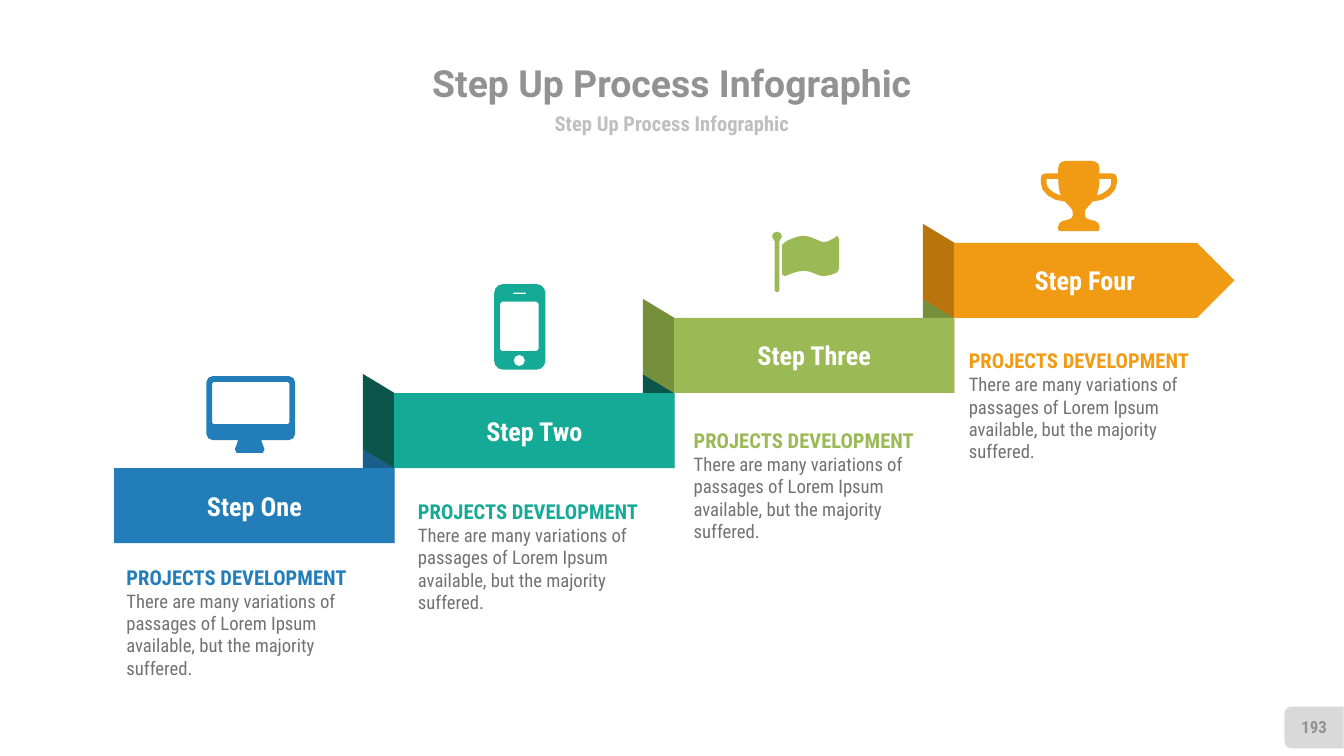
from math import dist

from pptx import Presentation
from pptx.dml.color import RGBColor
from pptx.enum.shapes import MSO_SHAPE
from pptx.enum.text import MSO_ANCHOR, PP_ALIGN
from pptx.util import Cm, Pt

BLUE, DARK_BLUE = RGBColor(0x23, 0x7D, 0xB9), RGBColor(0x1A, 0x5E, 0x8B)
TEAL, DARK_TEAL = RGBColor(0x15, 0xAA, 0x96), RGBColor(0x0B, 0x55, 0x4B)
GREEN, DARK_GREEN = RGBColor(0x9B, 0xB9, 0x55), RGBColor(0x76, 0x8F, 0x3B)
ORANGE, DARK_ORANGE = RGBColor(0xF1, 0x9B, 0x14), RGBColor(0xB9, 0x75, 0x0B)
WHITE = RGBColor(0xFF, 0xFF, 0xFF)
TITLE_GREY = RGBColor(0x92, 0x92, 0x92)
SUBTITLE_GREY = RGBColor(0xBF, 0xBF, 0xBF)
BODY_GREY = RGBColor(0x72, 0x72, 0x72)
TAB_GREY = RGBColor(0xD9, 0xD9, 0xD9)

CONDENSED = "Roboto Condensed"
TITLE = "Step Up Process Infographic"
HEADING = "PROJECTS DEVELOPMENT"
BODY = "There are many variations of passages of Lorem Ipsum available, but the majority suffered."

# Staircase geometry in cm
FIRST_LEFT, FIRST_TOP = 2.16, 8.85
STEP_RUN, STEP_RISE = 5.29, 1.42
STEP_WIDTH, STEP_HEIGHT = 5.3, 1.42
FOLD_WIDTH, FOLD_HEIGHT = 0.59, 1.78

# Name, colour, fold colour, left and top of the description
STEPS = [
    ("Step One", BLUE, DARK_BLUE, 2.14, 10.55),
    ("Step Two", TEAL, DARK_TEAL, 7.65, 9.31),
    ("Step Three", GREEN, DARK_GREEN, 12.86, 7.97),
    ("Step Four", ORANGE, DARK_ORANGE, 18.06, 6.46),
]


def write(para, text, size=11, color=WHITE, font=CONDENSED, bold=True, align=PP_ALIGN.LEFT):
    para.alignment = align
    span = para.add_run()
    span.text = text
    span.font.name, span.font.size, span.font.bold = font, Pt(size), bold
    span.font.color.rgb = color


def paint(shape, color):
    shape.shadow.inherit = False
    shape.fill.solid()
    shape.fill.fore_color.rgb = color
    shape.line.fill.background()


def add_block(page, kind, left, top, width, height, color, rotation=0):
    block = page.shapes.add_shape(kind, Cm(left), Cm(top), Cm(width), Cm(height))
    block.rotation = rotation
    paint(block, color)
    return block


def add_label(page, left, top, width, height, text, inset=True, **style):
    box = page.shapes.add_textbox(Cm(left), Cm(top), Cm(width), Cm(height))
    frame = box.text_frame
    frame.word_wrap = inset
    frame.vertical_anchor = MSO_ANCHOR.MIDDLE
    if not inset:
        frame.margin_left = frame.margin_right = frame.margin_top = frame.margin_bottom = 0
    write(frame.paragraphs[0], text, align=PP_ALIGN.CENTER, **style)


def add_description(page, left, top, color):
    box = page.shapes.add_textbox(Cm(left), Cm(top), Cm(5.26), Cm(3))
    frame = box.text_frame
    frame.word_wrap = True
    write(frame.paragraphs[0], HEADING, color=color)
    write(frame.add_paragraph(), BODY, size=10, color=BODY_GREY, bold=False)


def add_fold(page, right, bottom, color):
    # A quarter turn stands the parallelogram on its short side
    center_x, center_y = right - FOLD_WIDTH / 2, bottom - FOLD_HEIGHT / 2
    add_block(page, MSO_SHAPE.FLOWCHART_DATA, center_x - FOLD_HEIGHT / 2,
              center_y - FOLD_WIDTH / 2, FOLD_HEIGHT, FOLD_WIDTH, color, rotation=90)


def add_step(page, index, name, color, fold_color):
    left = FIRST_LEFT + index * STEP_RUN
    top = FIRST_TOP - index * STEP_RISE
    bottom = top + STEP_HEIGHT
    last = index == len(STEPS) - 1
    if index > 0:
        add_fold(page, left, bottom, fold_color)
    if not last:
        add_fold(page, left + STEP_RUN, bottom, fold_color)
    kind = MSO_SHAPE.PENTAGON if last else MSO_SHAPE.RECTANGLE
    step = add_block(page, kind, left, top, STEP_WIDTH, STEP_HEIGHT, color)
    step.text_frame.vertical_anchor = MSO_ANCHOR.MIDDLE
    write(step.text_frame.paragraphs[0], name, size=14, align=PP_ALIGN.CENTER)


def outline(start, *segments):
    """Flatten segments: (x, y) is a line, (x1, y1, x2, y2, x, y) a cubic curve."""
    points = [start]
    for segment in segments:
        if len(segment) == 2:
            points.append(segment)
            continue
        (x0, y0), (x1, y1, x2, y2, x3, y3) = points[-1], segment
        # Longer curves get more points
        count = max(1, min(4, round(dist((x0, y0), (x3, y3)) / 0.08)))
        for t in (i / count for i in range(1, count + 1)):
            a, b, c, d = (1 - t) ** 3, 3 * t * (1 - t) ** 2, 3 * t * t * (1 - t), t ** 3
            points.append((a * x0 + b * x1 + c * x2 + d * x3,
                           a * y0 + b * y1 + c * y2 + d * y3))
    return points


def rounded(left, top, right, bottom, radius):
    k = radius * 0.45
    return outline(
        (left + radius, top), (right - radius, top),
        (right - k, top, right, top + k, right, top + radius), (right, bottom - radius),
        (right, bottom - k, right - k, bottom, right - radius, bottom), (left + radius, bottom),
        (left + k, bottom, left, bottom - k, left, bottom - radius), (left, top + radius),
        (left, top + k, left + k, top, left + radius, top))


def mirror(points):
    return [(-x, y) for x, y in reversed(points)]


def add_icon(page, left, top, color, contours):
    placed = [[(Cm(left + x), Cm(top + y)) for x, y in contour] for contour in contours]
    builder = page.shapes.build_freeform(*placed[0][0])
    for number, contour in enumerate(placed):
        if number:
            builder.move_to(*contour[0])
        builder.add_line_segments(contour[1:], close=True)
    paint(builder.convert_to_shape(), color)


def add_icons(page):
    # Monitor
    stand = outline((0.6, 1.21), (0.6, 1.29, 0.54, 1.33, 0.54, 1.38), (0.57, 1.45),
                    (1.07, 1.45), (1.1, 1.38), (1.1, 1.33, 1.04, 1.29, 1.04, 1.21))
    add_icon(page, 3.9, 7.11, BLUE, [
        rounded(0, 0, 1.68, 1.21, 0.12), rounded(0.11, 0.11, 1.57, 0.91, 0.03), stand])

    # Phone
    add_icon(page, 9.34, 5.37, TEAL, [
        rounded(0, 0, 0.97, 1.62, 0.17), rounded(0.11, 0.33, 0.84, 1.27, 0.04),
        rounded(0.36, 0.16, 0.6, 0.19, 0.01), rounded(0.37, 1.34, 0.58, 1.55, 0.1)])

    # Flag
    pole = outline((0.14, 0.18), (0.14, 1.11), (0.11, 1.14), (0.08, 1.14), (0.05, 1.11),
                   (0.05, 0.18), (0.02, 0.15, 0, 0.13, 0, 0.09),
                   (0, 0.04, 0.05, 0, 0.09, 0), (0.15, 0, 0.19, 0.04, 0.19, 0.09),
                   (0.19, 0.13, 0.17, 0.16, 0.14, 0.18))
    cloth = outline((1.27, 0.7), (1.27, 0.74, 1.27, 0.75, 1.23, 0.77),
                    (1.15, 0.81, 1.06, 0.84, 0.97, 0.84), (0.85, 0.84, 0.76, 0.74, 0.61, 0.74),
                    (0.5, 0.74, 0.38, 0.78, 0.25, 0.84), (0.22, 0.84, 0.19, 0.84, 0.19, 0.81),
                    (0.19, 0.25), (0.27, 0.18), (0.38, 0.13, 0.48, 0.08, 0.59, 0.08),
                    (0.71, 0.08, 0.79, 0.13, 0.91, 0.18), (0.93, 0.19, 0.95, 0.2, 0.97, 0.2),
                    (1.09, 0.2, 1.22, 0.08, 1.24, 0.08), (1.26, 0.08, 1.27, 0.12, 1.27, 0.15))
    add_icon(page, 14.59, 4.38, GREEN, [pole, cloth])

    # Trophy, drawn as a right half and its mirror
    half = outline((0, 0), (0.24, 0), (0.33, 0, 0.39, 0.06, 0.39, 0.14), (0.39, 0.24),
                   (0.63, 0.24), (0.69, 0.24, 0.72, 0.27, 0.72, 0.33), (0.72, 0.42),
                   (0.72, 0.59, 0.51, 0.77, 0.26, 0.77), (0.23, 0.81, 0.2, 0.84, 0.18, 0.86),
                   (0.13, 0.9, 0.11, 0.94, 0.11, 1.01), (0.11, 1.06, 0.14, 1.12, 0.22, 1.12),
                   (0.31, 1.12, 0.39, 1.17, 0.39, 1.24), (0.39, 1.3), (0.36, 1.33), (0, 1.33))
    handle = outline((0.39, 0.34), (0.61, 0.34), (0.61, 0.43),
                     (0.61, 0.51, 0.5, 0.61, 0.34, 0.66), (0.37, 0.58, 0.39, 0.46, 0.39, 0.34))
    add_icon(page, 20.39, 3.04, ORANGE, [half[1:-1] + mirror(half[1:-1]), handle, mirror(handle)])


def main():
    deck = Presentation()
    deck.slide_width, deck.slide_height = Cm(25.4), Cm(14.29)
    page = deck.slides.add_slide(deck.slide_layouts[6])

    # Titles and page number
    add_block(page, MSO_SHAPE.ROUND_2_SAME_RECTANGLE, 24.44, 13.19, 0.79, 1.12, TAB_GREY, rotation=270)
    add_label(page, 4.87, 1.07, 15.66, 0.99, TITLE, inset=False,
              size=20, color=TITLE_GREY, font="Roboto")
    add_label(page, 6.98, 2.06, 11.44, 0.56, TITLE, inset=False, color=SUBTITLE_GREY)
    add_label(page, 24.3, 13.36, 1.07, 0.76, "193", size=9, color=TITLE_GREY)

    # Staircase with descriptions
    for index, (name, color, fold_color, text_left, text_top) in enumerate(STEPS):
        add_description(page, text_left, text_top, color)
        add_step(page, index, name, color, fold_color)

    add_icons(page)
    deck.save("out.pptx")


if __name__ == "__main__":
    main()
